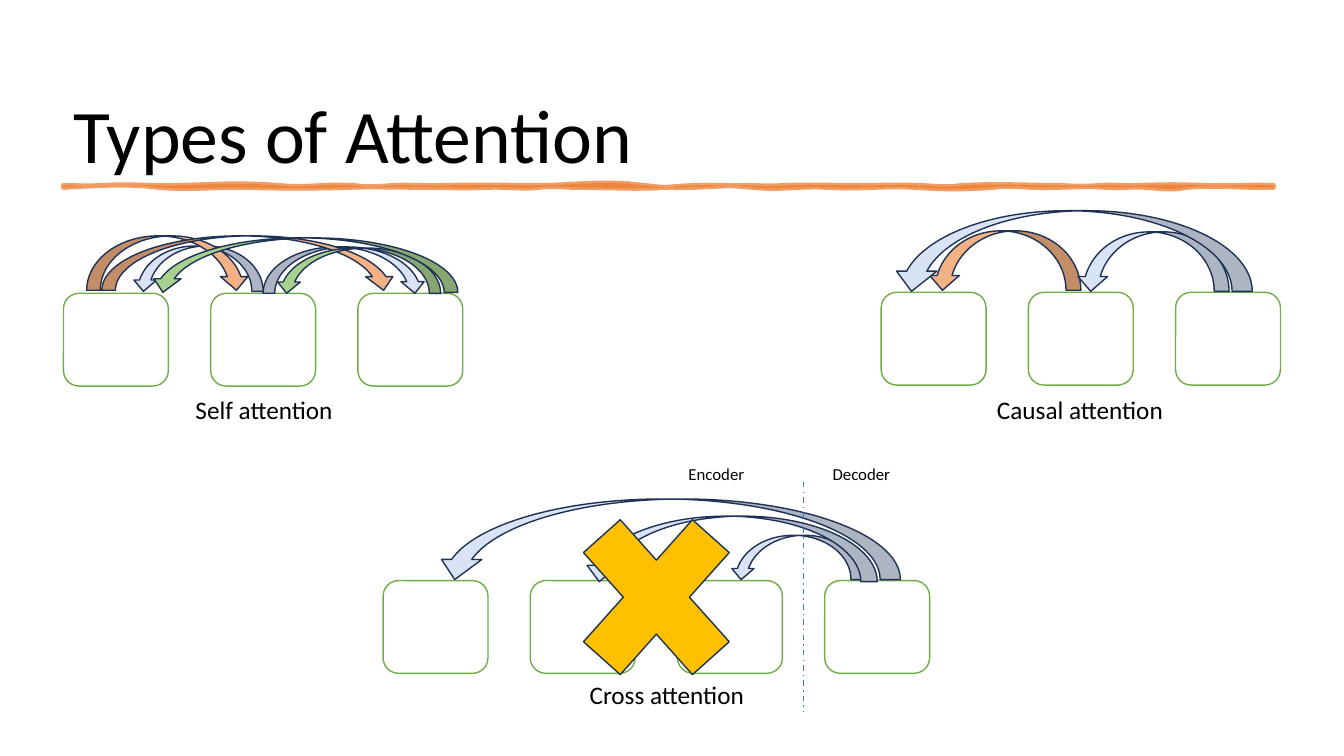
from dataclasses import dataclass

from lxml import etree
from pptx import Presentation
from pptx.dml.color import RGBColor
from pptx.enum.dml import MSO_LINE
from pptx.enum.shapes import MSO_CONNECTOR, MSO_SHAPE
from pptx.enum.text import MSO_ANCHOR, MSO_AUTO_SIZE, PP_ALIGN
from pptx.oxml.ns import qn
from pptx.util import Inches, Pt

TOKEN = MSO_SHAPE.ROUNDED_RECTANGLE
RIGHTWARD = MSO_SHAPE.CURVED_DOWN_ARROW
LEFTWARD = MSO_SHAPE.CURVED_UP_ARROW  # turned by 180 degrees
CROSS = MSO_SHAPE.MATH_MULTIPLY


@dataclass(frozen=True)
class Theme:
    font: str = "Calibri"
    text: str = "000000"
    token_fill: str = "FFFFFF"
    token_line: str = "70AD47"
    arrow_line: str = "1E3256"
    blue: str = "DAE3F3"
    orange: str = "F4B183"
    green: str = "A9D18E"
    cross: str = "FFC000"
    brush: str = "ED7D31"
    divider: str = "4472C4"
    title_size: int = 54
    caption_size: int = 18
    label_size: int = 12


THEME = Theme()

# Brush stroke: (end x, first bend, second bend), bends in hundredths of an inch
BRUSH_LEFT, BRUSH_TOP, BRUSH_BOTTOM = 0.63, 1.84, 1.86
TOP_EDGE = [
    (1.02, 0, 1), (1.77, -2, 1), (2.76, -1, -3), (3.51, 3, -2), (3.9, 2, 1),
    (4.41, -1, 1), (5.4, -1, 0), (6.39, -1, -5), (7.38, 5, 0), (7.77, 0, 1),
    (8.52, -1, 0), (9.15, 0, -1), (9.54, 1, 2), (10.53, -2, 0), (10.92, 1, 1),
    (11.31, -1, 1), (11.94, -1, -1), (12.63, 1, -1),
]
BOTTOM_EDGE = [
    (11.76, 1, -3), (11.37, 3, 1), (10.98, -1, 1), (10.23, -2, 1),
    (9.84, -1, -2), (9.09, 2, 2), (8.22, -2, 2), (7.47, -2, 3), (6.6, -3, -3),
    (5.73, 2, 0), (5.34, 0, -2), (4.83, 2, -1), (4.2, 1, 0), (3.45, 0, -1),
    (2.46, 1, 1), (1.59, -1, 3), (0.63, -4, -2),
]

# Arrows: direction, fill, left, top, width, height
SELF_ARROWS = [
    (RIGHTWARD, THEME.blue, 2.61, 2.45, 1.62, 0.46),
    (LEFTWARD, THEME.blue, 1.31, 2.44, 1.3, 0.45),
    (RIGHTWARD, THEME.orange, 0.86, 2.34, 1.62, 0.54),
    (RIGHTWARD, THEME.orange, 1.01, 2.34, 2.93, 0.54),
    (LEFTWARD, THEME.green, 2.73, 2.46, 1.64, 0.45),
    (LEFTWARD, THEME.green, 1.48, 2.36, 3.06, 0.54),
]
CAUSAL_ARROWS = [
    (LEFTWARD, THEME.orange, 9.2, 2.29, 1.52, 0.59),
    (LEFTWARD, THEME.blue, 10.67, 2.3, 1.52, 0.59),
    (LEFTWARD, THEME.blue, 8.84, 2.09, 3.58, 0.8),
]
CROSS_ARROWS = [
    (LEFTWARD, THEME.blue, 7.24, 5.31, 1.31, 0.44),
    (LEFTWARD, THEME.blue, 5.78, 5.12, 2.92, 0.65),
    (LEFTWARD, THEME.blue, 4.31, 4.95, 4.62, 0.8),
]
TOKEN_WIDTH, TOKEN_HEIGHT, TOKEN_STEP = 1.04, 0.92, 1.46


def color(code):
    return RGBColor.from_string(code)


def paint(shape, fill, line, width=1):
    shape.shadow.inherit = False
    shape.fill.solid()
    shape.fill.fore_color.rgb = color(fill)
    shape.line.color.rgb = color(line)
    shape.line.width = Pt(width)


def style_text(para, size):
    para.alignment = PP_ALIGN.LEFT
    para.font.name = THEME.font
    para.font.size = Pt(size)
    para.font.color.rgb = color(THEME.text)


def add_figure(shapes, kind, fill, line, left, top, width, height):
    figure = shapes.add_shape(kind, Inches(left), Inches(top),
                              Inches(width), Inches(height))
    paint(figure, fill, line)
    return figure


def add_label(shapes, text, size, left, top, width, height):
    box = shapes.add_textbox(Inches(left), Inches(top),
                             Inches(width), Inches(height))
    box.text_frame.word_wrap = False
    box.text_frame.auto_size = MSO_AUTO_SIZE.SHAPE_TO_FIT_TEXT
    para = box.text_frame.paragraphs[0]
    para.text = text
    style_text(para, size)


def add_attention(page, count, left, top, arrows, caption, caption_place):
    """Draw a row of tokens, the arrows over it and the caption under it."""
    shapes = page.shapes.add_group_shape().shapes
    for index in range(count):
        add_figure(shapes, TOKEN, THEME.token_fill, THEME.token_line,
                   left + index * TOKEN_STEP, top, TOKEN_WIDTH, TOKEN_HEIGHT)
    for kind, fill, *place in arrows:
        arrow = add_figure(shapes, kind, fill, THEME.arrow_line, *place)
        arrow.rotation = 180 if kind == LEFTWARD else 0
    add_label(shapes, caption, THEME.caption_size, *caption_place)
    return shapes


def add_divider(shapes, x, top, bottom):
    divider = shapes.add_connector(MSO_CONNECTOR.STRAIGHT, Inches(x),
                                   Inches(top), Inches(x), Inches(bottom))
    divider.line.color.rgb = color(THEME.divider)
    divider.line.width = Pt(1)
    divider.line.dash_style = MSO_LINE.DASH_DOT
    etree.SubElement(divider._element.spPr, qn("a:effectLst"))


def wavy_edge(start, base, bends, steps=6):
    """Sample the cubic curves that run along one edge of the brush stroke."""
    points = []
    for end, first, second in bends:
        for step in range(1, steps + 1):
            t = step / steps
            sway = 3 * t * (1 - t) * ((1 - t) * first + t * second) / 100
            points.append((Inches(start + t * (end - start)),
                           Inches(base + sway)))
        start = end
    return points


def add_brush_stroke(page):
    right = TOP_EDGE[-1][0]
    builder = page.shapes.build_freeform(Inches(BRUSH_LEFT), Inches(BRUSH_TOP))
    builder.add_line_segments(
        wavy_edge(BRUSH_LEFT, BRUSH_TOP, TOP_EDGE)
        + [(Inches(right), Inches(BRUSH_BOTTOM))]
        + wavy_edge(right, BRUSH_BOTTOM, BOTTOM_EDGE), close=True)
    stroke = builder.convert_to_shape()
    paint(stroke, THEME.brush, THEME.brush, 3.5)
    for tone in stroke._element.spPr.iter(qn("a:srgbClr")):
        etree.SubElement(tone, qn("a:alpha"), val="75000")


def set_title(page, text):
    title = page.shapes.title
    title.left, title.top = Inches(0.63), Inches(0.26)
    title.width, title.height = Inches(12.05), Inches(1.57)
    frame = title.text_frame
    frame.text = text
    frame.word_wrap = True
    frame.auto_size = MSO_AUTO_SIZE.NONE
    frame.vertical_anchor = MSO_ANCHOR.BOTTOM
    para = frame.paragraphs[0]
    para.line_spacing = 0.9
    style_text(para, THEME.title_size)


def main():
    deck = Presentation()
    deck.slide_width, deck.slide_height = Inches(13.33), Inches(7.5)
    page = deck.slides.add_slide(deck.slide_layouts[5])

    # Heading
    set_title(page, "Types of Attention")
    add_brush_stroke(page)

    # The three kinds of attention
    add_attention(page, 3, 8.74, 2.9, CAUSAL_ARROWS,
                  "Causal attention", (9.79, 3.86, 1.87, 0.4))
    cross = add_attention(page, 4, 3.8, 5.76, CROSS_ARROWS,
                          "Cross attention", (5.75, 6.69, 1.75, 0.4))
    add_divider(cross, 7.97, 4.78, 7.06)
    add_label(cross, "Decoder", THEME.label_size, 8.16, 4.55, 0.78, 0.3)
    add_label(cross, "Encoder", THEME.label_size, 6.73, 4.55, 0.76, 0.3)
    add_attention(page, 3, 0.63, 2.91, SELF_ARROWS,
                  "Self attention", (1.84, 3.86, 1.58, 0.4))

    # Cross-out mark over the cross attention
    add_figure(page.shapes, CROSS, THEME.cross, THEME.arrow_line,
               5.47, 4.76, 2.08, 2.33)

    deck.save("out.pptx")


if __name__ == "__main__":
    main()
